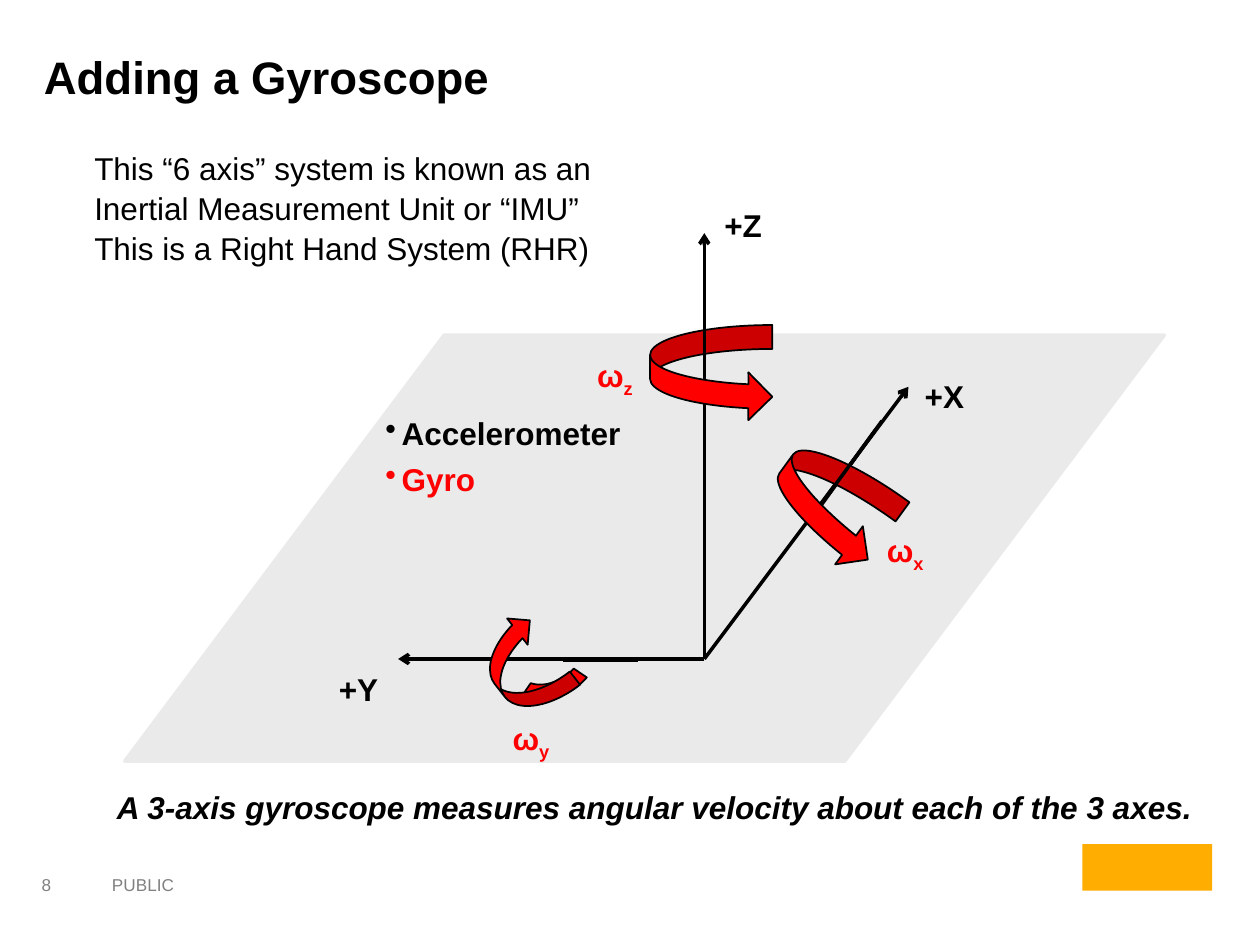
from lxml.etree import SubElement
from pptx import Presentation
from pptx.dml.color import RGBColor
from pptx.enum.shapes import MSO_CONNECTOR as Connector, MSO_SHAPE as Preset
from pptx.enum.text import MSO_ANCHOR as Anchor, MSO_AUTO_SIZE as AutoSize
from pptx.oxml.ns import qn
from pptx.util import Inches, Pt

COLUMNS, ROWS = 100, 75
BLACK, RED, GREY, PLANE, ACCENT = "000000", "FF0000", "808080", "EAEAEA", "FFAD00"

TITLE = "Adding a Gyroscope"
INTRO = [
    "This “6 axis” system is known as an Inertial Measurement Unit or “IMU”",
    "This is a Right Hand System (RHR)",
]
CAPTION = "A 3-axis gyroscope measures angular velocity about each of the 3 axes."
ORIGIN = (55.9, 52.3)
AXES = [
    ("+Y", (31.6, 52.3), (25.9, 52.5, 5.2, 4)),
    ("+X", (72.1, 30.7), (72.4, 29.3, 5.2, 4)),
    ("+Z", (55.9, 18.5), (56.5, 15.7, 5, 4)),
]
RATES = [
    ("z", (46.4, 27.6, 5, 4)),
    ("x", (69.4, 41.5, 5.1, 4)),
    ("y", (39.7, 56.4, 5.1, 4)),
]
LEGEND = [
    ("Accelerometer", BLACK, (29.6, 32.2, 20.8, 4)),
    ("Gyro", RED, (29.6, 35.9, 9.2, 4)),
]
TURNS = [
    (Preset.CURVED_RIGHT_ARROW, (51.6, 25.8, 9.7, 7.6), 0, False, ()),
    (Preset.CURVED_RIGHT_ARROW, (61.2, 36.3, 9.7, 7.5), 36, False, ()),
    (Preset.BLOCK_ARC, (40.4, 47.6, 6.7, 8.5), 232, True, (64.49, 118.63, 0.185)),
    (Preset.CURVED_RIGHT_ARROW, (38.9, 49, 5.3, 7.8), 322, True, ()),
]
BACK_STROKES = [
    ((39.7, 52.3), (45.1, 52.3)),
    ((42.4, 52.3), (47.8, 52.3)),
    ((69.5, 34.1), (65.1, 40.2)),
    ((55.9, 22.5), (55.9, 30.1)),
]
FRONT_STROKES = [
    ((44.7, 52.4), (50.6, 52.4)),
    ((55.9, 24.7), (55.9, 28.3)),
    ((65.7, 39.3), (70, 33.4)),
]

deck = Presentation()
deck.slide_width, deck.slide_height = Inches(10), Inches(7.5)
page = deck.slides.add_slide(deck.slide_layouts[6])


def color(value):
    return RGBColor.from_string(value)


def place(*cells):
    units = (deck.slide_width / COLUMNS, deck.slide_height / ROWS)
    return [round(cell * units[index % 2]) for index, cell in enumerate(cells)]


def add_text(paragraphs, at, size=18, fill=BLACK, bold=False, italic=False, wrap=False,
             spacing=1.05, anchor=Anchor.TOP, inset=None, bullet=False, subscript=""):
    box = page.shapes.add_textbox(*place(*at))
    frame = box.text_frame
    frame.word_wrap = wrap
    frame.auto_size = AutoSize.NONE if wrap else AutoSize.SHAPE_TO_FIT_TEXT
    frame.vertical_anchor = anchor
    if inset:
        frame.margin_left = frame.margin_right = Inches(inset)
        frame.margin_top = frame.margin_bottom = Inches(inset / 2)
    for index, text in enumerate(paragraphs):
        para = frame.paragraphs[0] if index == 0 else frame.add_paragraph()
        para.line_spacing = spacing
        if bullet:
            indent = Inches(0.13)
            properties = para._p.get_or_add_pPr()
            properties.set("marL", str(indent))
            properties.set("indent", str(-indent))
            SubElement(properties, qn("a:buChar")).set("char", "•")
        for part in filter(None, (text, subscript)):
            span = para.add_run()
            span.text = part
            font = span.font
            font.name, font.size, font.bold, font.italic = "Arial", Pt(size), bold, italic
            font.color.rgb = color(fill)
        if subscript:
            span._r.get_or_add_rPr().set("baseline", "-25000")


def add_shape(preset, at, fill, line=None, width=1, turn=0, flip=False, adjust=()):
    shape = page.shapes.add_shape(preset, *place(*at))
    shape.shadow.inherit = False
    shape.rotation = turn
    shape.fill.solid()
    shape.fill.fore_color.rgb = color(fill)
    if line:
        shape.line.color.rgb = color(line)
        shape.line.width = Pt(width)
    else:
        shape.line.fill.background()
    for index, value in enumerate(adjust):
        shape.adjustments[index] = value
    if flip:
        shape._element.spPr.xfrm.set("flipV", "1")


def add_line(start, end, arrow=False):
    line = page.shapes.add_connector(Connector.STRAIGHT, *place(*start, *end))
    line.line.color.rgb = color(BLACK)
    line.line.width = Pt(2)
    if arrow:
        SubElement(line.line._get_or_add_ln(), qn("a:tailEnd")).set("type", "arrow")
    SubElement(line._element.spPr, qn("a:effectLst"))


add_text(["8"], (2.7, 68.7, 4.9, 3), size=9.8, fill=GREY, wrap=True, spacing=1,
         anchor=Anchor.MIDDLE, inset=0.06)
add_text(["PUBLIC"], (7.9, 68.9, 38.4, 3.4), size=9.8, fill=GREY, wrap=True, spacing=1)
add_shape(Preset.RECTANGLE, (85.9, 67, 10.3, 3.7), ACCENT)
add_text([TITLE], (2.5, 3, 95.7, 7.2), size=26, bold=True, wrap=True, spacing=1.1)
add_text(INTRO, (6.5, 11.2, 45.6, 10.1), wrap=True)
add_shape(Preset.PARALLELOGRAM, (9.9, 26.6, 82.5, 33.8), PLANE, line=PLANE, width=2, adjust=(0.75,))

for name, tip, at in AXES:
    add_line(ORIGIN, tip, arrow=True)
    add_text([name], at, bold=True)
for start, end in BACK_STROKES:
    add_line(start, end)
for preset, at, turn, flip, adjust in TURNS:
    add_shape(preset, at, RED, line=BLACK, turn=turn, flip=flip, adjust=adjust)
for axis, at in RATES:
    add_text(["ω"], at, fill=RED, bold=True, subscript=axis)
for name, fill, at in LEGEND:
    add_text([name], at, fill=fill, bold=True, bullet=True)
for start, end in FRONT_STROKES:
    add_line(start, end)
add_text([CAPTION], (8.3, 61.9, 88.9, 4), bold=True, italic=True)

deck.save("out.pptx")
